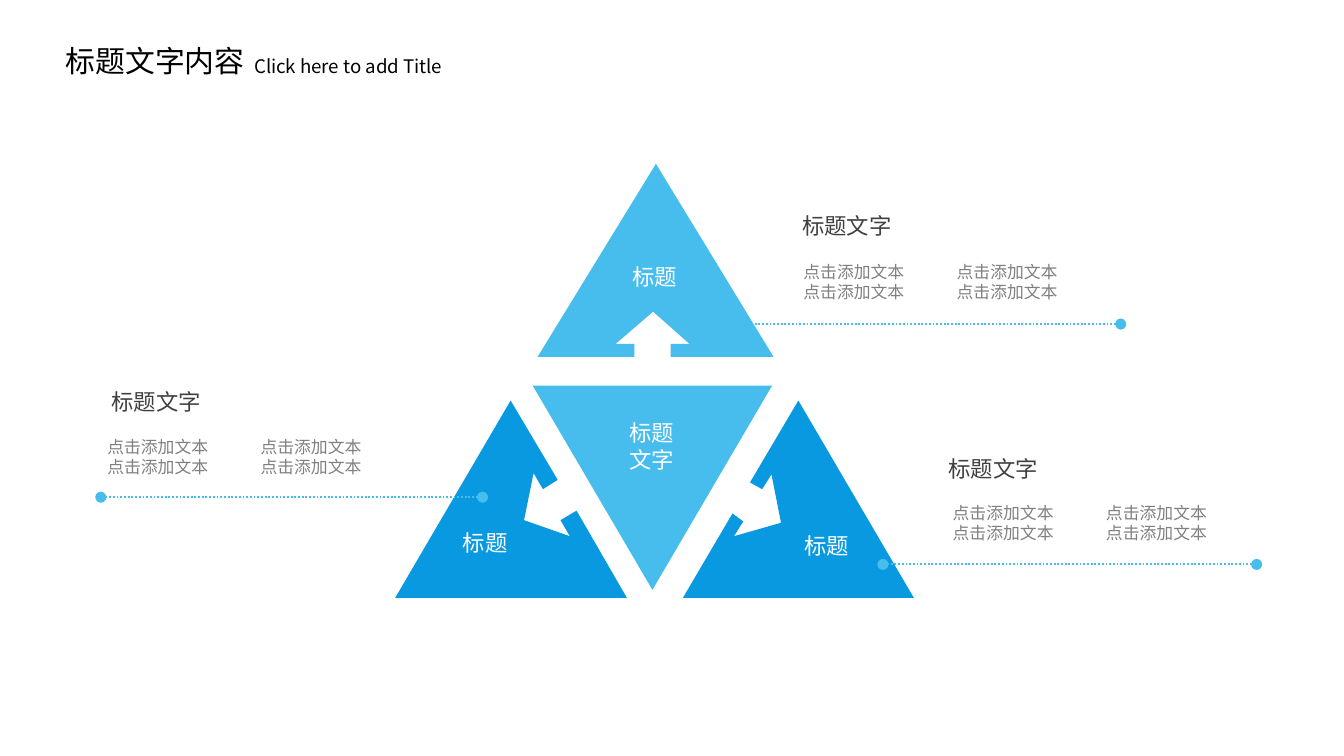
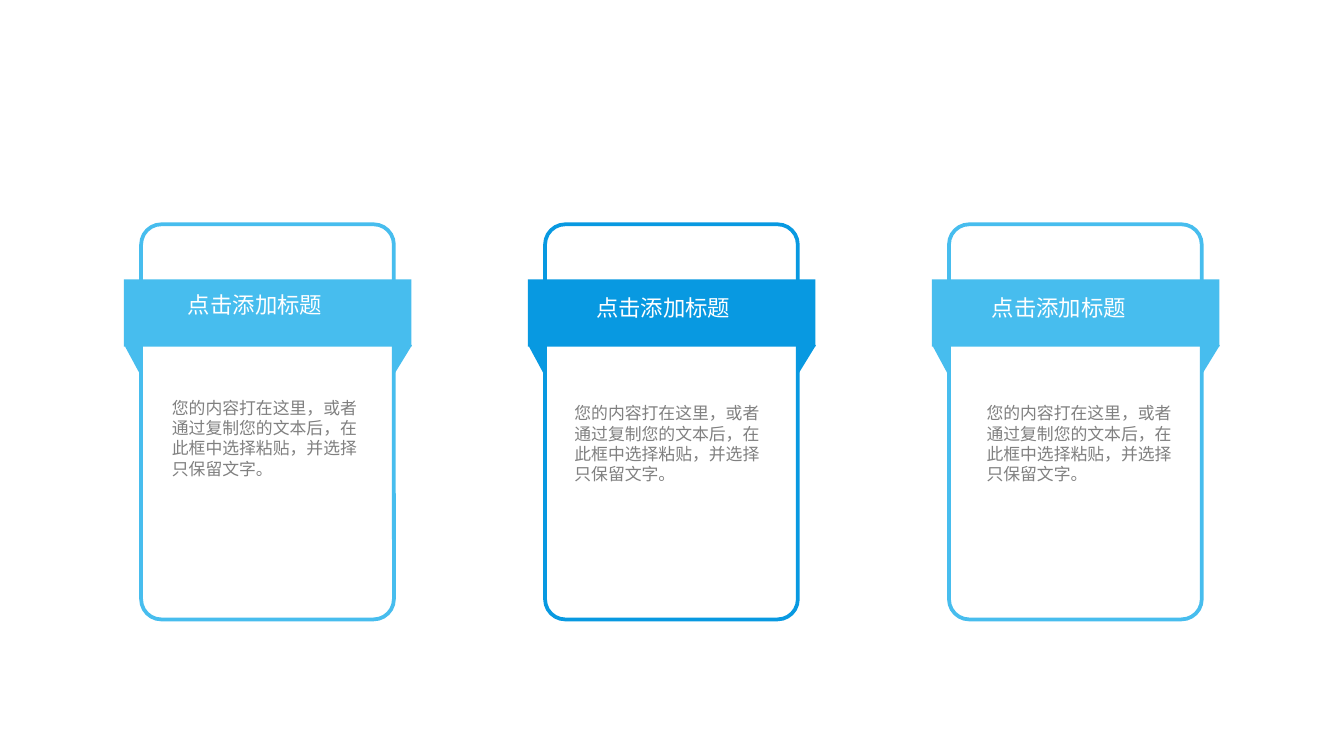
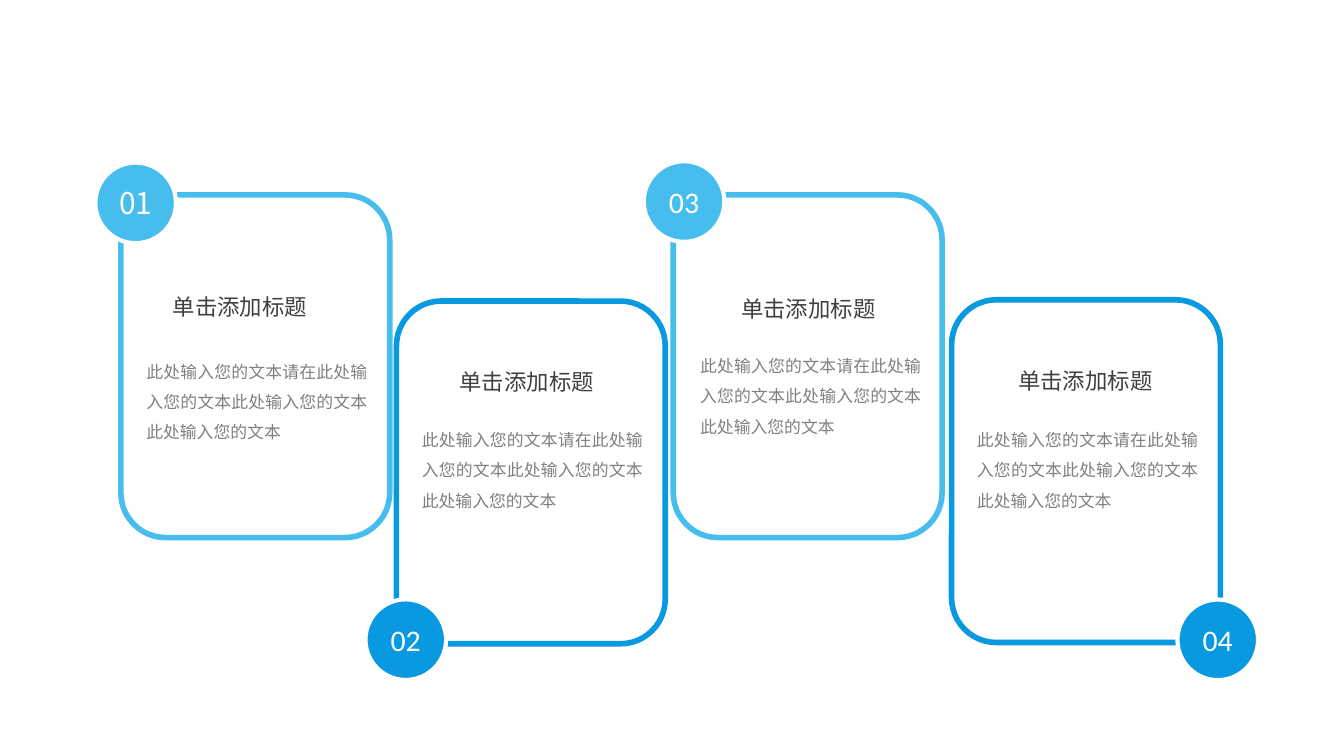
from dataclasses import dataclass

from lxml.etree import SubElement
from pptx import Presentation
from pptx.dml.color import RGBColor as RGB
from pptx.enum.dml import MSO_LINE as Dash
from pptx.enum.shapes import MSO_CONNECTOR as Link, MSO_SHAPE as Kind
from pptx.enum.text import MSO_ANCHOR as Anchor, MSO_AUTO_SIZE as Auto, PP_ALIGN as Align
from pptx.oxml.ns import qn
from pptx.util import Pt


@dataclass(frozen=True)
class Theme:
    sky: str = "47BDEE"
    blue: str = "0899E1"
    white: str = "FFFFFF"
    black: str = "000000"
    dark: str = "404040"
    gray: str = "808080"
    font: str = "Noto Sans CJK SC"
    digit: str = "Calibri"
    big: float = 16
    head: float = 12
    note: float = 10
    body: float = 9


T = Theme()
TIGHT = (5, 2.9)


def write(shape, text, size=T.body, color=T.gray, font=T.font, align=Align.LEFT,
          anchor=Anchor.TOP, wrap=True, grow=True, inset=(7.2, 3.6), space=None):
    """Fill a shape with text, one paragraph to a line."""
    frame = shape.text_frame
    frame.text = text
    frame.word_wrap = wrap
    frame.auto_size = Auto.SHAPE_TO_FIT_TEXT if grow else Auto.NONE
    frame.vertical_anchor = anchor
    frame.margin_left = frame.margin_right = Pt(inset[0])
    frame.margin_top = frame.margin_bottom = Pt(inset[1])
    for para in frame.paragraphs:
        para.alignment = align
        if space:
            para.line_spacing = space
        for run in para.runs:
            run.font.size = Pt(size)
            run.font.color.rgb = RGB.from_string(color)
            run.font.name = font
    for props in shape.element.iter(qn("a:rPr")):
        SubElement(props, qn("a:ea"), typeface=font)


def label(slide, x, y, w, h, text, **fmt):
    box = slide.shapes.add_textbox(Pt(x), Pt(y), Pt(w), Pt(h))
    write(box, text, **fmt)


def paint(shape, fill=None, line=None, width=1):
    shape.shadow.inherit = False
    if fill:
        shape.fill.solid()
        shape.fill.fore_color.rgb = RGB.from_string(fill)
    else:
        shape.fill.background()
    if line:
        shape.line.color.rgb = RGB.from_string(line)
        shape.line.width = Pt(width)
    else:
        shape.line.fill.background()
    return shape


def block(slide, kind, x, y, w, h, **look):
    shape = slide.shapes.add_shape(kind, Pt(x), Pt(y), Pt(w), Pt(h))
    return paint(shape, **look)


def outline(slide, x, y, points, fill):
    spots = [(Pt(x + dx), Pt(y + dy)) for dx, dy in points]
    pen = slide.shapes.build_freeform(*spots[0])
    pen.add_line_segments(spots[1:], close=True)
    paint(pen.convert_to_shape(), fill=fill)


def dotted(slide, right, left, y):
    """Dotted rule with a round dot at each end."""
    rule = slide.shapes.add_connector(Link.STRAIGHT, Pt(right), Pt(y), Pt(left), Pt(y))
    rule.line.color.rgb = RGB.from_string(T.sky)
    rule.line.width = Pt(1)
    rule.line.dash_style = Dash.ROUND_DOT
    props = rule.element.spPr
    for end in ("a:headEnd", "a:tailEnd"):
        SubElement(props.find(qn("a:ln")), qn(end), type="oval")
    SubElement(props, qn("a:effectLst"))


def header(slide, x, y):
    title = slide.shapes.title
    title.left, title.top, title.width, title.height = Pt(x), Pt(y), Pt(116), Pt(26.6)
    write(title, "标题文字内容", size=T.big, color=T.black, wrap=False)
    label(slide, x + 101, y + 6.5, 121.5, 19.4, "Click here to add Title",
          size=T.note, color=T.black, wrap=False)


def wedge(slide, x, y, points, fill, spot):
    """Notched triangle; spot is where its label sits."""
    outline(slide, x, y, points, fill)
    label(slide, x + spot[0], y + spot[1], 38.9, 21.6, "标题", size=T.head,
          color=T.white, align=Align.CENTER, wrap=False)


def callout(slide, x, y, text, rule):
    """Heading, two columns at offset text, and a rule (left, right, drop)."""
    for col in range(2):
        label(slide, x + text[0] + col * 82.1, y + text[1], 90, 28.8,
              "点击添加文本\n点击添加文本")
    label(slide, x, y, 114.5, 21.6, "标题文字", size=T.head, color=T.dark)
    left, right, drop = rule
    dotted(slide, x + right, x + left, y + drop)


WEDGES = [
    (365.8, 214.6, [(61.9, 0), (123.8, 105.8), (0, 105.8), (26.6, 60.5), (32.4, 64.8),
                    (27.4, 72.7), (52.6, 65.5), (47.5, 39.6), (42.5, 47.5), (36, 43.9)],
     T.blue, (57.6, 67)),
    (288, 87.8, [(63.4, 0), (126.4, 103.4), (71.3, 103.4), (71.3, 96.5), (81.4, 96.5),
                 (61.9, 79.2), (41.8, 96.5), (51.8, 96.5), (51.8, 103.4), (0, 103.4)],
     T.sky, (43.2, 49.7)),
    (211.7, 214.6, [(61.9, 0), (87.1, 42.5), (79.2, 47.5), (74.2, 38.9), (69.1, 64.1),
                    (93.6, 72.7), (88.6, 64.1), (97.2, 59), (124.2, 105.8), (0, 105.8)],
     T.blue, (28.8, 65.5)),
]

CALLOUTS = [
    (422.6, 110.2, (0.7, 26.6), (-23, 177.8, 63.4)),
    (52.6, 204.5, (-2.2, 25.9), (1.4, 205.9, 61.9)),
    (501.1, 240.5, (2.2, 25.2), (-28.1, 172.1, 61.9)),
]


def pyramid(slide):
    header(slide, 28.1, 19.4)
    core = block(slide, Kind.ISOSCELES_TRIANGLE, 285.4, 206.6, 128.2, 109.4, fill=T.sky)
    core.rotation = 180
    label(slide, 320.4, 221, 57.6, 36, "标题\n文字", size=T.head, color=T.white,
          align=Align.CENTER)
    for part in WEDGES:
        wedge(slide, *part)
    for part in CALLOUTS:
        callout(slide, *part)


def ribbon(slide, x, y, color, head, text):
    """Framed card with a folded band; head and text are label offsets."""
    w, h = 135.4, 211.7
    card = block(slide, Kind.ROUNDED_RECTANGLE, x, y, w, h, line=color, width=2)
    card.adjustments[0] = 0.08
    outline(slide, x + w, y, [(0, 58.3), (9.7, 64.8), (0, 80.6)], color)
    outline(slide, x, y, [(0, 60.5), (0, 81.4), (-8.6, 65.5)], color)
    block(slide, Kind.RECTANGLE, x - 9.2, y + 29.5, 154.1, 36, fill=color)
    label(slide, x + head[0], y + head[1], 87.1, 21.6, "点击添加标题",
          size=T.head, color=T.white, wrap=False)
    label(slide, x + text[0], y + text[1], 114.5, 50.4,
          "您的内容打在这里，或者\n通过复制您的文本后，在\n此框中选择粘贴，并选择\n只保留文字。",
          wrap=False)


RIBBONS = [
    (T.sky, (18, 32.4), (9.4, 89.3)),
    (T.blue, (20.2, 33.8), (8.6, 92.2)),
    (T.sky, (15.8, 33.8), (13, 92.2)),
]


def ribbons(slide):
    for i, look in enumerate(RIBBONS):
        ribbon(slide, 75.6 + i * 216.4, 120.2, *look)


def step(slide, x, y, num, color, font, disc, head, text):
    """Framed card; disc, head (x, y, width) and text are offsets."""
    block(slide, Kind.ROUNDED_RECTANGLE, x, y, 144, 183.6, line=color, width=3)
    label(slide, x + head[0], y + head[1], head[2], 20.2, "单击添加标题", size=T.head,
          color=T.dark, align=Align.CENTER, inset=TIGHT)
    badge = block(slide, Kind.OVAL, x + disc[0], y + disc[1], 43.2, 43.2,
                  fill=color, line=T.white, width=2.25)
    write(badge, num, size=T.big, color=T.white, font=font, align=Align.CENTER,
          anchor=Anchor.MIDDLE, grow=False, inset=TIGHT)
    label(slide, x + text[0], y + text[1], 128.2, 82.1,
          "此处输入您的文本请在此处输入您的文本此处输入您的文本此处输入您的文本",
          align=Align.JUSTIFY, anchor=Anchor.MIDDLE, grow=False, inset=TIGHT, space=1.5)


STEPS = [
    (64.8, 104.4, "01", T.sky, T.font, (-13.7, -17.3), (11.5, 49.7, 104.4), (8.6, 67)),
    (212.4, 161.3, "02", T.blue, T.digit, (-16.6, 159.8), (18, 33.1, 103.7), (8.6, 46.8)),
    (360.7, 104.4, "03", T.sky, T.digit, (-15.8, -18), (17.3, 51.1, 110.2), (9.4, 64.1)),
    (509.8, 160.6, "04", T.blue, T.digit, (121, 160.6), (17.3, 33.1, 108.7), (8.6, 47.5)),
]


def steps(slide):
    for part in STEPS:
        step(slide, *part)


def main():
    deck = Presentation()
    deck.slide_width, deck.slide_height = Pt(720), Pt(405)
    titled, blank = deck.slide_layouts[5], deck.slide_layouts[6]
    for layout, build in ((titled, pyramid), (blank, ribbons), (blank, steps)):
        build(deck.slides.add_slide(layout))
    deck.save("out.pptx")


if __name__ == "__main__":
    main()
